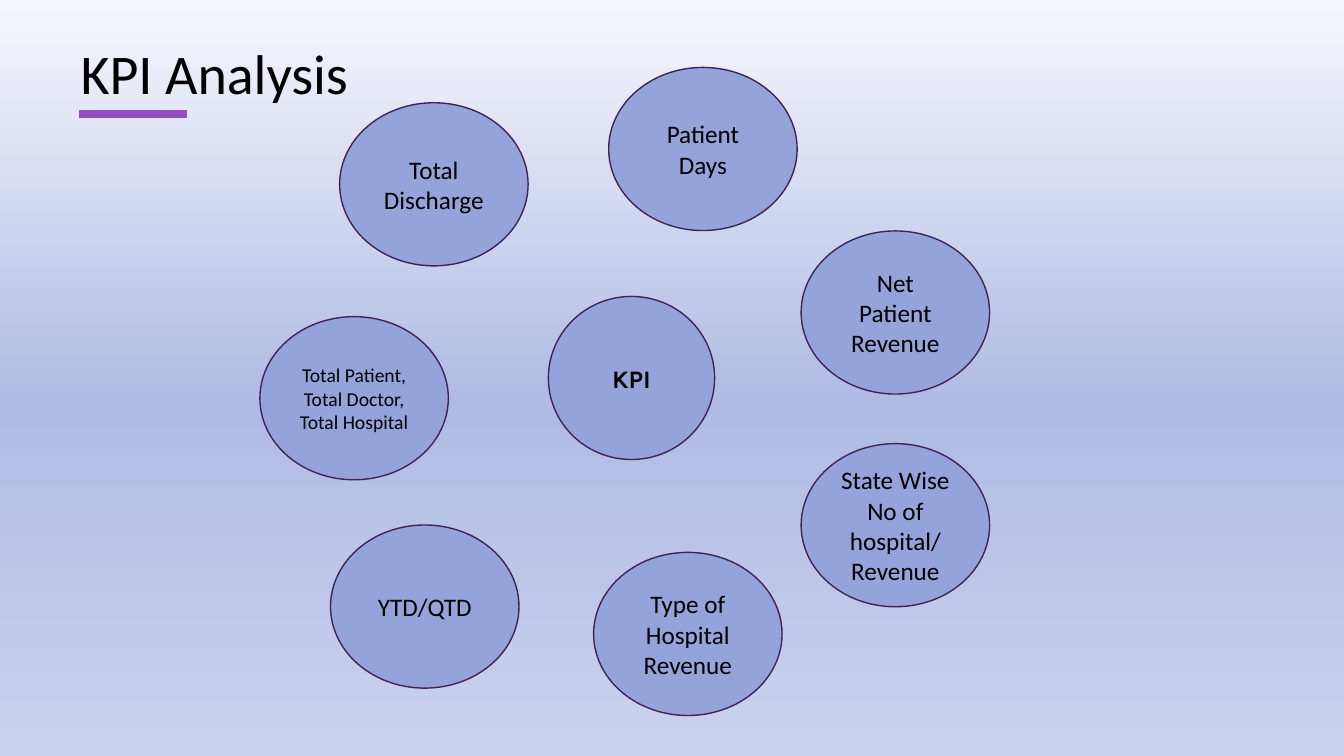
"""Build the KPI Analysis slide: a central KPI circle ringed by its measures."""
from copy import deepcopy
from dataclasses import dataclass

from lxml.etree import SubElement
from pptx import Presentation
from pptx.dml.color import RGBColor
from pptx.enum.shapes import MSO_CONNECTOR, MSO_SHAPE
from pptx.enum.text import MSO_ANCHOR, PP_ALIGN
from pptx.oxml.ns import qn
from pptx.slide import Slide
from pptx.text.text import TextFrame
from pptx.util import Cm, Pt

COLOURS = {
    "sky_top": "F6F7FC",
    "sky_middle": "AFBBE4",
    "sky_bottom": "CAD2ED",
    "accent": "944DC3",
    "bubble": "94A4DB",
    "outline": "412255",
    "text": "000000",
}
BUBBLE_HEIGHT = 4.11


@dataclass(frozen=True)
class Bubble:
    """A labelled ellipse, placed in centimetres."""

    left: float
    top: float
    lines: tuple[str, ...]
    width: float = 4.75
    size: int = 18
    font: str = "Calibri"
    bold: bool = False


BUBBLES = (
    Bubble(6.55, 7.98, ("Total Patient, Total Doctor, Total Hospital",), size=14),
    Bubble(13.82, 7.47, ("KPI",), width=4.19, font="Karla", bold=True),
    Bubble(8.56, 2.59, ("Total Discharge",)),
    Bubble(20.19, 11.18, ("State Wise No of hospital/", "Revenue")),
    Bubble(15.34, 1.7, ("Patient Days",)),
    Bubble(20.19, 5.82, ("Net Patient Revenue",)),
    Bubble(14.96, 13.92, ("Type of Hospital Revenue",)),
    Bubble(8.33, 13.23, ("YTD/QTD",)),
)


def colour(name: str) -> RGBColor:
    """Look up a palette colour."""
    return RGBColor.from_string(COLOURS[name])


def write_lines(frame: TextFrame, lines: tuple[str, ...], size: int,
                font: str, bold: bool, align: PP_ALIGN) -> None:
    """Write one paragraph per line, centred vertically."""
    frame.word_wrap = True
    frame.vertical_anchor = MSO_ANCHOR.MIDDLE
    for index, line in enumerate(lines):
        paragraph = frame.add_paragraph() if index else frame.paragraphs[0]
        paragraph.alignment = align
        run = paragraph.add_run()
        run.text = line
        run.font.size = Pt(size)
        run.font.name = font
        run.font.bold = bold
        run.font.color.rgb = colour("text")


def paint_background(slide: Slide) -> None:
    """Fill the background with a three-stop vertical gradient."""
    fill = slide.background.fill
    fill.gradient()
    fill.gradient_angle = 270
    first_stop = slide.element.find(f".//{qn('a:gs')}")
    first_stop.addnext(deepcopy(first_stop))
    shades = ((0, "sky_top"), (0.53, "sky_middle"), (1, "sky_bottom"))
    for stop, (position, shade) in zip(fill.gradient_stops, shades):
        stop.position = position
        stop.color.rgb = colour(shade)


def add_heading(slide: Slide) -> None:
    """Add the title and its accent underline."""
    underline = slide.shapes.add_connector(
        MSO_CONNECTOR.STRAIGHT, Cm(1.98), Cm(2.87), Cm(4.7), Cm(2.87))
    underline.line.color.rgb = colour("accent")
    underline.line.width = Pt(6)
    SubElement(underline.element.spPr, qn("a:effectLst"))
    title = slide.shapes.add_textbox(Cm(1.78), Cm(0.76), Cm(30.28), Cm(2.13))
    write_lines(title.text_frame, ("KPI Analysis",), 40, "Calibri", False,
                PP_ALIGN.LEFT)


def add_bubble(slide: Slide, bubble: Bubble) -> None:
    """Draw one labelled ellipse."""
    ellipse = slide.shapes.add_shape(
        MSO_SHAPE.OVAL, Cm(bubble.left), Cm(bubble.top),
        Cm(bubble.width), Cm(BUBBLE_HEIGHT))
    ellipse.shadow.inherit = False
    ellipse.fill.solid()
    ellipse.fill.fore_color.rgb = colour("bubble")
    ellipse.line.color.rgb = colour("outline")
    ellipse.line.width = Pt(1)
    write_lines(ellipse.text_frame, bubble.lines, bubble.size, bubble.font,
                bubble.bold, PP_ALIGN.CENTER)


def main() -> None:
    """Create and save the presentation."""
    presentation = Presentation()
    presentation.slide_width = Cm(33.87)
    presentation.slide_height = Cm(19.05)
    slide = presentation.slides.add_slide(presentation.slide_layouts[6])
    paint_background(slide)
    add_heading(slide)
    for bubble in BUBBLES:
        add_bubble(slide, bubble)
    presentation.save("out.pptx")


if __name__ == "__main__":
    main()
